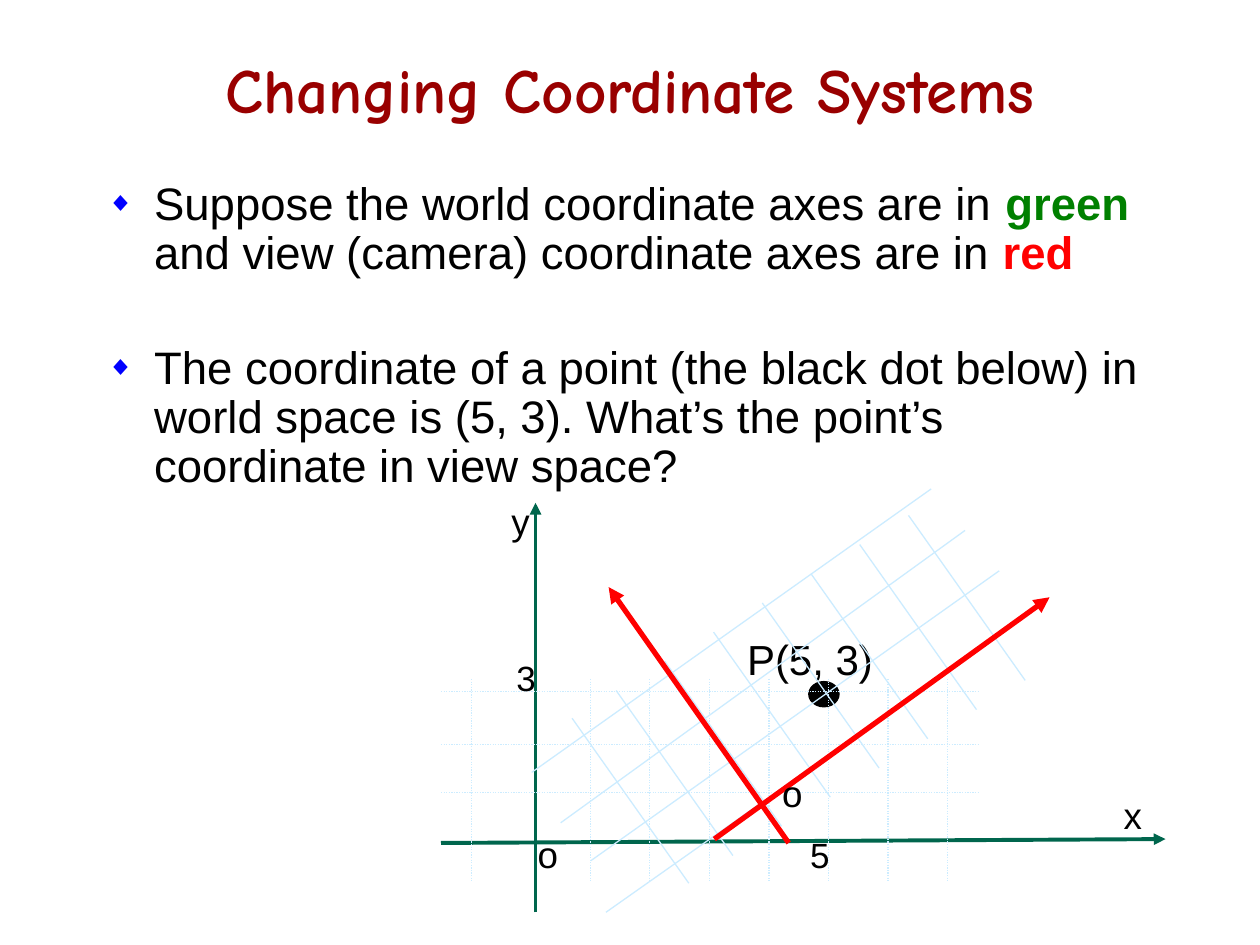
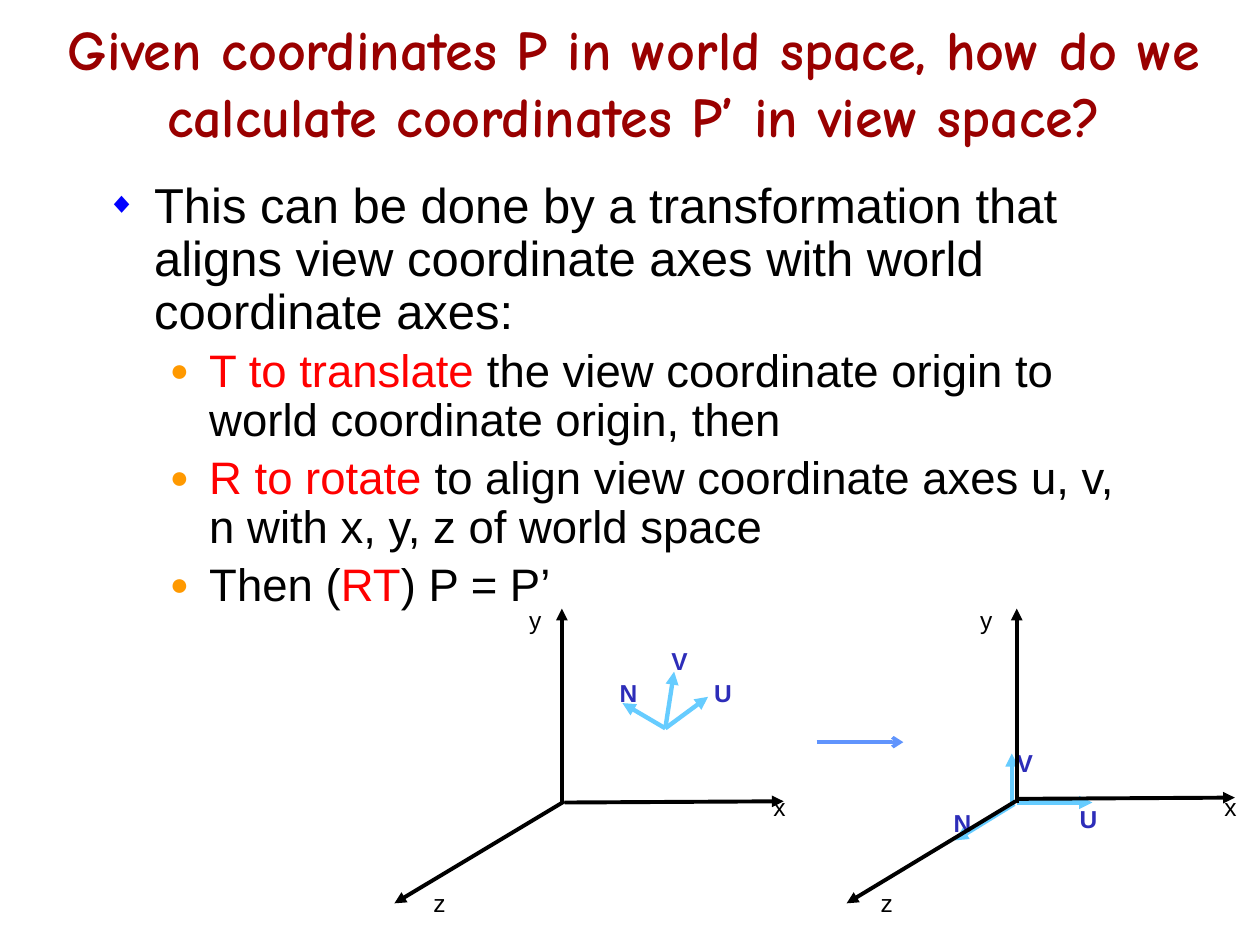
from dataclasses import dataclass

from pptx import Presentation
from pptx.dml.color import RGBColor
from pptx.enum.dml import MSO_LINE
from pptx.enum.shapes import MSO_CONNECTOR, MSO_SHAPE
from pptx.enum.text import MSO_ANCHOR, PP_ALIGN
from pptx.oxml.ns import qn
from pptx.slide import Slide
from pptx.util import Pt
from lxml.etree import SubElement

BLACK, RED, GREEN = "000000", "FF0000", "008000"
TITLE_RED, AXIS_GREEN = "990000", "00664D"
GRID_BLUE, VIEW_BLUE, VIEW_LABEL, STEP_BLUE = "CCECFF", "66CCFF", "2D2DB9", "6094FD"
TITLE_FONT, BODY_FONT = "Comic Neue", "Arial"


@dataclass(frozen=True)
class Span:
    text: str
    color: str = BLACK
    bold: bool = False


@dataclass(frozen=True)
class Bullet:
    char: str
    color: str
    percent: int
    margin: float
    hanging: float


@dataclass(frozen=True)
class Item:
    spans: tuple[Span, ...]
    bullet: Bullet
    size: float
    before: float


@dataclass(frozen=True)
class Stroke:
    color: str
    width: float
    head: str = ""
    dotted: bool = False


@dataclass(frozen=True)
class Segment:
    x1: float
    y1: float
    x2: float
    y2: float
    stroke: Stroke


@dataclass(frozen=True)
class Label:
    text: str
    left: float
    top: float
    size: float = 14
    color: str = BLACK
    bold: bool = False
    width: float = 24


DIAMOND = Bullet("◆", "0000FF", 60, 27, 27)
DISC = Bullet("●", "FF9900", 70, 58.5, 22.5)

DOTTED_GRID = Stroke(GRID_BLUE, 0.75, dotted=True)
VIEW_GRID = Stroke(GRID_BLUE, 0.75)
WORLD_AXIS = Stroke(AXIS_GREEN, 2.25, "triangle")
CAMERA_AXIS = Stroke(RED, 3, "triangle")
XYZ_AXIS = Stroke(BLACK, 2.25, "triangle")
UVN_AXIS = Stroke(VIEW_BLUE, 2.5, "triangle")
STEP = Stroke(STEP_BLUE, 2, "arrow")


def rgb(value: str) -> RGBColor:
    return RGBColor.from_string(value)


def add_run(paragraph, text: str, *, size: float, color: str = BLACK,
            bold: bool = False, font: str = BODY_FONT) -> None:
    run = paragraph.add_run()
    run.text = text
    run.font.size = Pt(size)
    run.font.bold = bold
    run.font.name = font
    run.font.color.rgb = rgb(color)


def add_frame(slide: Slide, left: float, top: float, width: float, height: float):
    frame = slide.shapes.add_textbox(Pt(left), Pt(top), Pt(width), Pt(height)).text_frame
    frame.word_wrap = True
    return frame


def draw_title(slide: Slide, text: str, left: float, top: float, width: float,
               size: float) -> None:
    frame = add_frame(slide, left, top, width, 64.8)
    frame.vertical_anchor = MSO_ANCHOR.MIDDLE
    paragraph = frame.paragraphs[0]
    paragraph.alignment = PP_ALIGN.CENTER
    add_run(paragraph, text, size=size, color=TITLE_RED, bold=True, font=TITLE_FONT)


def set_bullet(paragraph, bullet: Bullet) -> None:
    properties = paragraph._p.get_or_add_pPr()
    properties.set("marL", str(Pt(bullet.margin)))
    properties.set("indent", str(-Pt(bullet.hanging)))
    tint = SubElement(properties, qn("a:buClr"))
    SubElement(tint, qn("a:srgbClr"), val=bullet.color)
    SubElement(properties, qn("a:buSzPct"), val=str(bullet.percent * 1000))
    SubElement(properties, qn("a:buFont"), typeface=BODY_FONT)
    SubElement(properties, qn("a:buChar"), char=bullet.char)


def draw_body(slide: Slide, items: list[Item]) -> None:
    frame = add_frame(slide, 54, 100, 612, 389.5)
    for index, item in enumerate(items):
        paragraph = frame.add_paragraph() if index else frame.paragraphs[0]
        paragraph.line_spacing = 0.9
        paragraph.space_before = Pt(item.before)
        set_bullet(paragraph, item.bullet)
        for span in item.spans:
            add_run(paragraph, span.text, size=item.size, color=span.color, bold=span.bold)


def draw_segments(slide: Slide, segments: list[Segment]) -> None:
    for segment in segments:
        stroke = segment.stroke
        connector = slide.shapes.add_connector(
            MSO_CONNECTOR.STRAIGHT, Pt(segment.x1), Pt(segment.y1),
            Pt(segment.x2), Pt(segment.y2))
        connector.line.color.rgb = rgb(stroke.color)
        connector.line.width = Pt(stroke.width)
        if stroke.dotted:
            connector.line.dash_style = MSO_LINE.ROUND_DOT
        properties = connector._element.spPr
        if stroke.head:
            SubElement(properties.find(qn("a:ln")), qn("a:tailEnd"), type=stroke.head)
        SubElement(properties, qn("a:effectLst"))


def draw_labels(slide: Slide, labels: list[Label]) -> None:
    for label in labels:
        frame = add_frame(slide, label.left, label.top, label.width, label.size * 1.5)
        add_run(frame.paragraphs[0], label.text, size=label.size,
                color=label.color, bold=label.bold)


def draw_point(slide: Slide) -> None:
    point = slide.shapes.add_shape(MSO_SHAPE.OVAL, Pt(462.2), Pt(389.5), Pt(17.3), Pt(14.4))
    point.shadow.inherit = False
    point.fill.solid()
    point.fill.fore_color.rgb = rgb(BLACK)
    point.line.color.rgb = rgb(BLACK)
    point.line.width = Pt(0.75)


def world_axes_and_grid() -> list[Segment]:
    columns = [269.3 + 34.02 * step for step in range(9) if step != 1]
    rows = [395.3, 425.5, 452.9]
    return [
        Segment(252, 481.7, 666, 479.5, WORLD_AXIS),
        *(Segment(x, 388, x, 503.3, DOTTED_GRID) for x in columns),
        Segment(306, 521.3, 306, 287.3, WORLD_AXIS),
        *(Segment(252, y, 558.7, y, DOTTED_GRID) for y in rows),
    ]


def view_axes_and_grid() -> list[Segment]:
    starts = [(326.9, 410.4)]
    starts += [(352.1 + 27.84 * step, 394.6 - 16.68 * step) for step in range(7)]
    return [
        Segment(337.7, 491.8, 571, 326.2, VIEW_GRID),
        Segment(346.3, 521.3, 590.4, 349.2, VIEW_GRID),
        Segment(320.4, 470.2, 551.5, 303.1, VIEW_GRID),
        Segment(303.8, 441.4, 532.1, 279.4, VIEW_GRID),
        *(Segment(x, y, x + 66.7, y + 94.3, VIEW_GRID) for x, y in starts),
        Segment(408.2, 479.5, 599.8, 341.3, CAMERA_AXIS),
        Segment(450.7, 481.7, 347.8, 335.5, CAMERA_AXIS),
    ]


def build_changing_systems(slide: Slide) -> None:
    draw_title(slide, "Changing Coordinate Systems", 54, 18, 612, 36)
    draw_body(slide, [
        Item((Span("Suppose the world coordinate axes are in "),
              Span("green ", GREEN, True),
              Span("and view (camera) coordinate axes are in "),
              Span("red", RED, True)), DIAMOND, 26, 4.9),
        Item((Span("The coordinate of a point (the black dot below) in world space "
                   "is (5, 3). What’s the point’s coordinate in view space?"),),
             DIAMOND, 26, 37.7),
    ])
    draw_point(slide)
    draw_segments(slide, world_axes_and_grid())
    draw_labels(slide, [
        Label("P(5, 3)", 419.8, 358.6, 24, width=89.3),
        Label("o", 300.2, 471.6, 21),
    ])
    draw_segments(slide, view_axes_and_grid())
    draw_labels(slide, [
        Label("o", 439.9, 437, 21),
        Label("y", 285.1, 281.5, 21),
        Label("x", 635, 449.3, 21),
        Label("5", 455.8, 473, 20),
        Label("3", 288, 371.5, 20),
    ])


def uvn_label(text: str, left: float, top: float) -> Label:
    return Label(text, left, top, color=VIEW_LABEL, bold=True)


def build_world_to_view(slide: Slide) -> None:
    draw_title(slide, "Given coordinates P in world space, how do we calculate "
                      "coordinates P’ in view space?", 16.6, 14.4, 691.9, 32)
    draw_body(slide, [
        Item((Span("This can be done by a transformation that aligns view coordinate "
                   "axes with world coordinate axes:"),), DIAMOND, 28, 5.2),
        Item((Span("T to translate", RED),
              Span(" the view coordinate origin to world coordinate origin, then")),
             DISC, 26, 4.9),
        Item((Span("R to rotate ", RED),
              Span("to align view coordinate axes u, v, n with x, y, z of world space")),
             DISC, 26, 4.9),
        Item((Span("Then ("), Span("RT", RED), Span(") P = P’")), DISC, 26, 4.9),
    ])
    view_tips = [(355.7, 401.8), (404.6, 398.2), (385.2, 383.8)]
    draw_segments(slide, [
        *(Segment(380.2, 416.2, x, y, UVN_AXIS) for x, y in view_tips),
        Segment(578.2, 460.1, 578.2, 430.6, UVN_AXIS),
        Segment(581, 458.6, 624.2, 458.6, UVN_AXIS),
        Segment(579.6, 459.4, 545.8, 480.2, UVN_AXIS),
        Segment(321.1, 458.6, 321.1, 347.8, XYZ_AXIS),
        Segment(322.6, 458.6, 447.8, 457.9, XYZ_AXIS),
        Segment(322.6, 457.9, 225.4, 516.2, XYZ_AXIS),
    ])
    draw_labels(slide, [
        Label("x", 434.9, 449.3), Label("y", 295.2, 342), Label("z", 240.5, 504),
        uvn_label("N", 347, 383.8), uvn_label("V", 376.6, 365.8),
        uvn_label("U", 401, 383.8), uvn_label("N", 537.8, 457.9),
        uvn_label("V", 573.8, 424.1), uvn_label("U", 609.8, 455.8),
    ])
    draw_segments(slide, [
        Segment(466.6, 424.1, 516.2, 424.1, STEP),
        Segment(581, 458.6, 581, 347.8, XYZ_AXIS),
        Segment(581, 456.5, 705.6, 455.8, XYZ_AXIS),
        Segment(580.3, 457.9, 483.8, 516.2, XYZ_AXIS),
    ])
    draw_labels(slide, [
        Label("x", 692.6, 449.3), Label("y", 553, 342), Label("z", 496.1, 504),
    ])


def main() -> None:
    deck = Presentation()
    deck.slide_width, deck.slide_height = Pt(720), Pt(540)
    for build in (build_changing_systems, build_world_to_view):
        build(deck.slides.add_slide(deck.slide_layouts[6]))
    deck.save("out.pptx")


if __name__ == "__main__":
    main()
